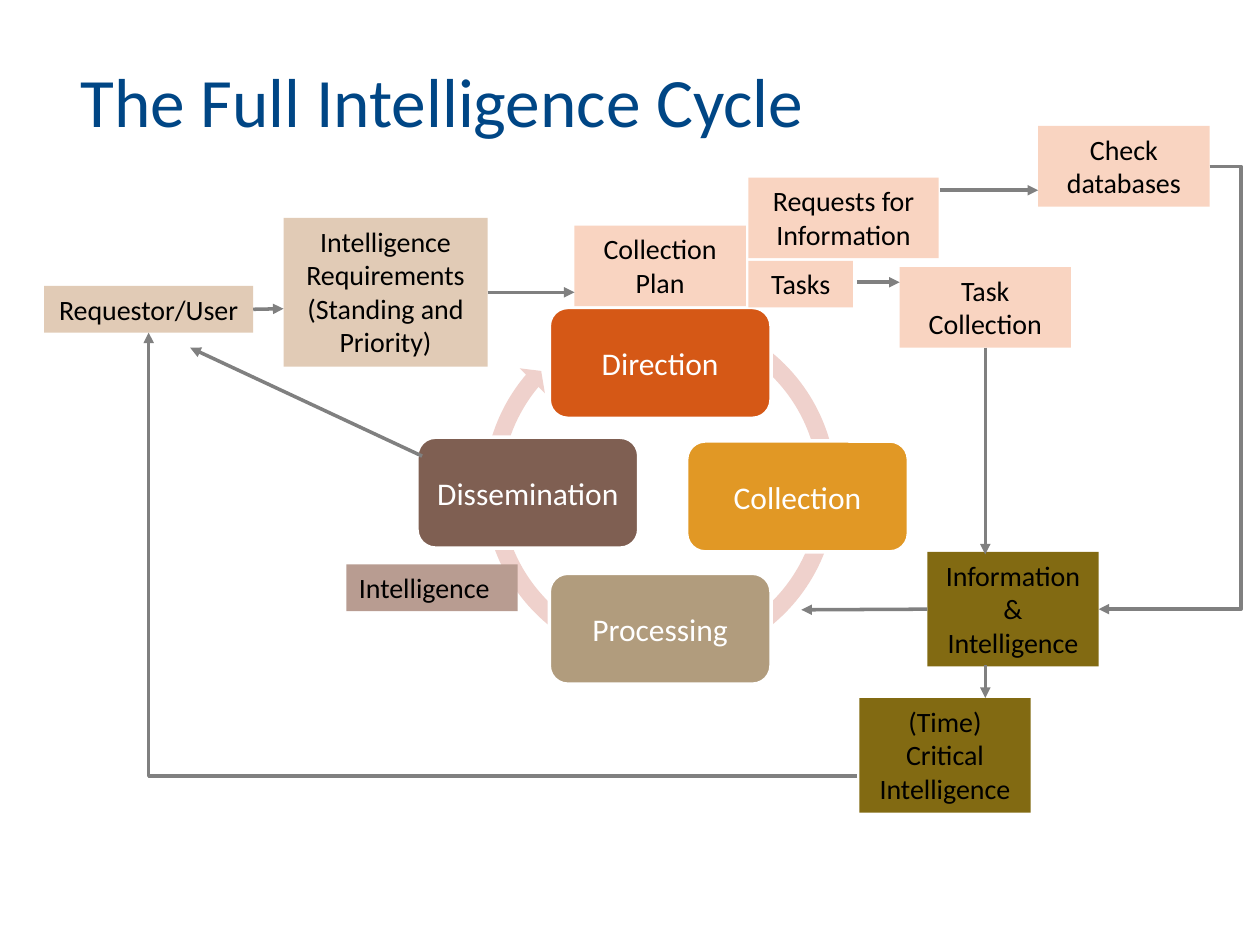
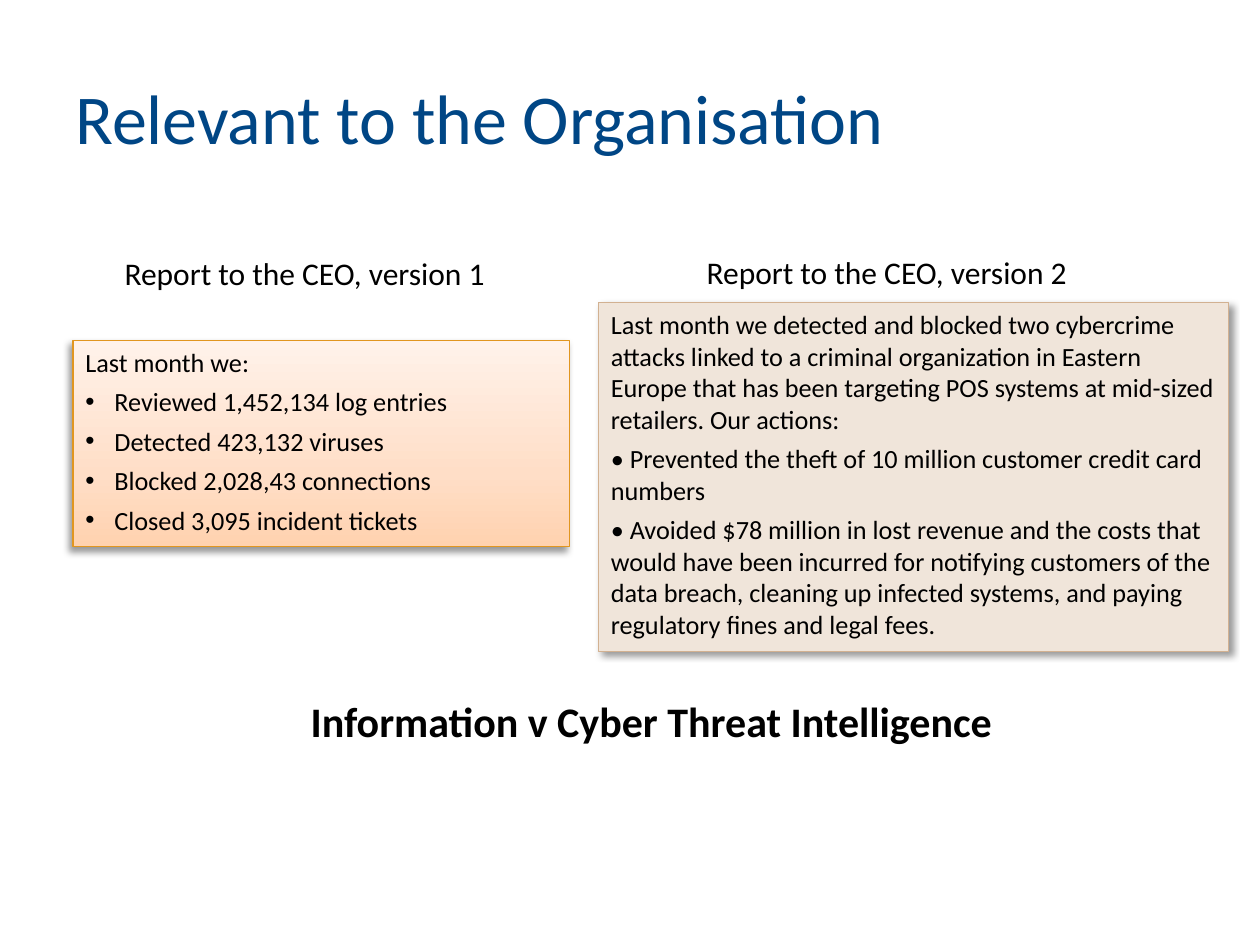
from pptx import Presentation
from pptx.dml.color import RGBColor
from pptx.enum.shapes import MSO_CONNECTOR, MSO_SHAPE
from pptx.enum.text import MSO_ANCHOR, MSO_AUTO_SIZE, PP_ALIGN
from pptx.oxml import parse_xml
from pptx.oxml.ns import nsdecls, qn
from pptx.util import Inches, Pt
from lxml.etree import SubElement

FONT = "Calibri"
COLORS = {
    "title": "004685", "text": "000000", "white": "FFFFFF", "arrow": "808080",
    "ring": "EFD1CC", "direction": "D55816", "collection": "E19825",
    "processing": "B19C7D", "dissemination": "7F5F52",
    "request": "E1CBB6", "plan": "F9D4C1", "result": "826A12", "product": "B89C91",
    "version1_line": "E19620", "version2": "F0E5DA", "version2_line": "D2B191",
}
VERSION1_STOPS = [(0, "FFD2AF"), (35, "FFDEC7"), (100, "FFF2EA")]
LEFT, CENTER = PP_ALIGN.LEFT, PP_ALIGN.CENTER
TOP_SIDE, LEFT_SIDE, BOTTOM_SIDE, RIGHT_SIDE = range(4)


def color(name):
    return RGBColor.from_string(COLORS[name])


def write(shape, *paragraphs, size=16, ink="text", bold=False, align=LEFT,
          anchor=MSO_ANCHOR.TOP, wrap=True, grow=True, after=0, bulleted=False):
    frame = shape.text_frame
    frame.word_wrap = wrap
    frame.auto_size = MSO_AUTO_SIZE.SHAPE_TO_FIT_TEXT if grow else MSO_AUTO_SIZE.NONE
    frame.vertical_anchor = anchor
    for index, words in enumerate(paragraphs):
        paragraph = frame.add_paragraph() if index else frame.paragraphs[0]
        paragraph.alignment = align
        paragraph.space_after = Pt(after)
        run = paragraph.add_run()
        run.text = words
        run.font.name = FONT
        run.font.size = Pt(size)
        run.font.bold = bold
        run.font.color.rgb = color(ink)
        if bulleted and index:
            properties = paragraph._p.get_or_add_pPr()
            properties.set("marL", str(Inches(0.23)))
            properties.set("indent", str(-Inches(0.23)))
            SubElement(properties, qn("a:buFont"), typeface="Arial")
            SubElement(properties, qn("a:buChar"), char="•")
    return shape


def add_label(slide, box, words, **style):
    return write(slide.shapes.add_textbox(*map(Inches, box)), words, **style)


def add_block(slide, kind, box, fill, line=None, line_width=0.75):
    block = slide.shapes.add_shape(kind, *map(Inches, box))
    block.shadow.inherit = False
    if fill:
        block.fill.solid()
        block.fill.fore_color.rgb = color(fill)
    if line:
        block.line.color.rgb = color(line)
        block.line.width = Pt(line_width)
    else:
        block.line.fill.background()
    return block


def add_title(slide, box, words, size=40):
    add_label(slide, box, words, size=size, ink="title",
              anchor=MSO_ANCHOR.MIDDLE, grow=False)


def add_step(slide, box, words, fill, align=CENTER):
    step = add_block(slide, MSO_SHAPE.RECTANGLE, box, fill)
    return write(step, words, align=align)


def add_arrow(slide, start, end, begin=None, finish=None, kind=MSO_CONNECTOR.STRAIGHT):
    arrow = slide.shapes.add_connector(kind, *map(Inches, (*start, *end)))
    if begin:
        arrow.begin_connect(*begin)
    if finish:
        arrow.end_connect(*finish)
    arrow.line.color.rgb = color("arrow")
    arrow.line.width = Pt(2)
    SubElement(arrow.line._get_or_add_ln(), qn("a:tailEnd"), type="triangle")
    SubElement(arrow._element.spPr, qn("a:effectLst"))
    return arrow


def add_cycle(slide, left, top):
    ring = add_block(slide, MSO_SHAPE.CIRCULAR_ARROW, (left + 0.46, top, 2.94, 2.94), "ring")
    for index, value in enumerate((0.047, 2.729, 132.104, 177.781, 0.048)):
        ring.adjustments[index] = value
    phases = [("Direction", 1.05, 0.03), ("Collection", 2.14, 1.09),
              ("Processing", 1.05, 2.14), ("Dissemination", 0, 1.06)]
    for phase, across, down in phases:
        node = add_block(slide, MSO_SHAPE.ROUNDED_RECTANGLE,
                         (left + across, top + down, 1.76, 0.88),
                         phase.lower(), "white", 2)
        write(node, phase, size=18, ink="white", align=CENTER,
              anchor=MSO_ANCHOR.MIDDLE, grow=False)


def add_steps(slide, left, top):
    steps = [
        ("Requestor/User", 0, 1.27, 1.66, 0.37, "request"),
        ("Intelligence Requirements (Standing and Priority)", 1.9, 0.73, 1.62, 1.18, "request"),
        ("Collection Plan", 4.21, 0.79, 1.36, 0.64, "plan"),
        ("Requests for Information", 5.59, 0.41, 1.51, 0.64, "plan"),
        ("Check databases", 7.89, 0, 1.36, 0.64, "plan"),
        ("Task Collection", 6.79, 1.12, 1.36, 0.64, "plan"),
        ("Tasks", 5.59, 1.07, 0.83, 0.37, "plan"),
        ("Information & Intelligence", 7.01, 3.38, 1.36, 0.91, "result"),
        ("(Time) Critical Intelligence", 6.47, 4.54, 1.36, 0.91, "result"),
        ("Intelligence", 2.4, 3.48, 1.36, 0.37, "product"),
    ]
    return {words: add_step(slide, (left + across, top + down, width, height), words, fill,
                            LEFT if fill == "product" else CENTER)
            for words, across, down, width, height, fill in steps}


def add_flow(slide, steps, left, top):
    def at(across, down):
        return left + across, top + down

    requestor = steps["Requestor/User"]
    requirements = steps["Intelligence Requirements (Standing and Priority)"]
    findings = steps["Information & Intelligence"]
    straight = [
        (at(1.66, 1.45), at(1.9, 1.45), (requestor, RIGHT_SIDE)),
        (at(3.52, 1.32), at(4.21, 1.32), (requirements, RIGHT_SIDE)),
        (at(6.45, 1.24), at(6.79, 1.24), None),
        (at(7.11, 0.51), at(7.89, 0.51), None),
        (at(7.47, 1.76), at(7.47, 3.4), (steps["Task Collection"], BOTTOM_SIDE)),
        (at(7.01, 3.84), at(6.01, 3.84), (findings, LEFT_SIDE)),
        (at(7.47, 4.28), at(7.47, 4.54), None),
        (at(3, 2.62), at(1.16, 1.76), None),
    ]
    for start, end, begin in straight:
        add_arrow(slide, start, end, begin)

    database_return = add_arrow(slide, at(9.25, 0.32), at(8.37, 3.83),
                                (steps["Check databases"], RIGHT_SIDE),
                                (findings, RIGHT_SIDE), MSO_CONNECTOR.ELBOW)
    guides = database_return._element.spPr.find(qn("a:prstGeom")).get_or_add_avLst()
    SubElement(guides, qn("a:gd"), name="adj1", fmla="val -28300")

    urgent_return = add_arrow(slide, at(6.45, 5.16), at(0.83, 1.64),
                              finish=(requestor, BOTTOM_SIDE), kind=MSO_CONNECTOR.ELBOW)
    properties = urgent_return._element.spPr
    properties.find(qn("a:prstGeom")).set("prst", "bentConnector2")
    turn = properties.find(qn("a:xfrm"))
    for flip in ("flipH", "flipV"):
        turn.attrib.pop(flip, None)
    turn.set("rot", "10800000")


def add_shadow(block, direction):
    effects = block._element.spPr.find(qn("a:effectLst"))
    shadow = SubElement(effects, qn("a:outerShdw"), blurRad=str(Pt(4)), dist=str(Pt(3)),
                        dir=str(direction * 60000), algn="tl", rotWithShape="0")
    tint = SubElement(shadow, qn("a:srgbClr"), val=COLORS["text"])
    SubElement(tint, qn("a:alpha"), val="40000")


def fill_gradient(block, stops, angle):
    marks = "".join(f'<a:gs pos="{place * 1000}"><a:srgbClr val="{shade}"/></a:gs>'
                    for place, shade in stops)
    gradient = parse_xml(f'<a:gradFill {nsdecls("a")} rotWithShape="1"><a:gsLst>{marks}'
                         f'</a:gsLst><a:lin ang="{angle * 60000}" scaled="0"/></a:gradFill>')
    block._element.spPr.find(qn("a:prstGeom")).addnext(gradient)


def add_report(slide, box, paragraphs, fill, line, shadow_direction, bulleted=False):
    report = add_block(slide, MSO_SHAPE.RECTANGLE, box, fill, line)
    add_shadow(report, shadow_direction)
    return write(report, *paragraphs, size=15, after=4.5, bulleted=bulleted)


def build_cycle_slide(slide):
    add_title(slide, (0.54, 0.48, 6.49, 0.62), "The Full Intelligence Cycle", 39.6)
    add_cycle(slide, 3.31, 2.41)
    steps = add_steps(slide, 0.35, 1)
    add_flow(slide, steps, 0.35, 1)


def build_report_slide(slide):
    add_title(slide, (0.5, 0.3, 9, 1.25), "Relevant to the Organisation")
    activity = add_report(slide, (0.58, 2.7, 3.94, 1.64), [
        "Last month we:",
        "Reviewed 1,452,134 log entries",
        "Detected 423,132 viruses",
        "Blocked 2,028,43 connections",
        "Closed 3,095 incident tickets",
    ], None, "version1_line", 135, bulleted=True)
    fill_gradient(activity, VERSION1_STOPS, 270)
    add_report(slide, (4.75, 2.4, 5, 2.77), [
        "Last month we detected and blocked two cybercrime attacks linked to a criminal "
        "organization in Eastern Europe that has been targeting POS systems at mid-sized "
        "retailers. Our actions:",
        "• Prevented the theft of 10 million customer credit card numbers",
        "• Avoided $78 million in lost revenue and the costs that would have been incurred "
        "for notifying customers of the data breach, cleaning up infected systems, and "
        "paying regulatory fines and legal fees.",
    ], "version2", "version2_line", 45)
    add_label(slide, (1.25, 5.47, 7.84, 0.5), "Information v Cyber Threat Intelligence",
              size=24, bold=True, align=CENTER)
    for version, left, top in ((1, 0.89, 1.97), (2, 5.51, 1.96)):
        add_label(slide, (left, top, 3.1, 0.4), f"Report to the CEO, version {version}",
                  size=18, wrap=False)


def main():
    deck = Presentation()
    deck.slide_width, deck.slide_height = Inches(10), Inches(7.5)
    for build in (build_cycle_slide, build_report_slide):
        build(deck.slides.add_slide(deck.slide_layouts[6]))
    deck.save("out.pptx")


if __name__ == "__main__":
    main()
